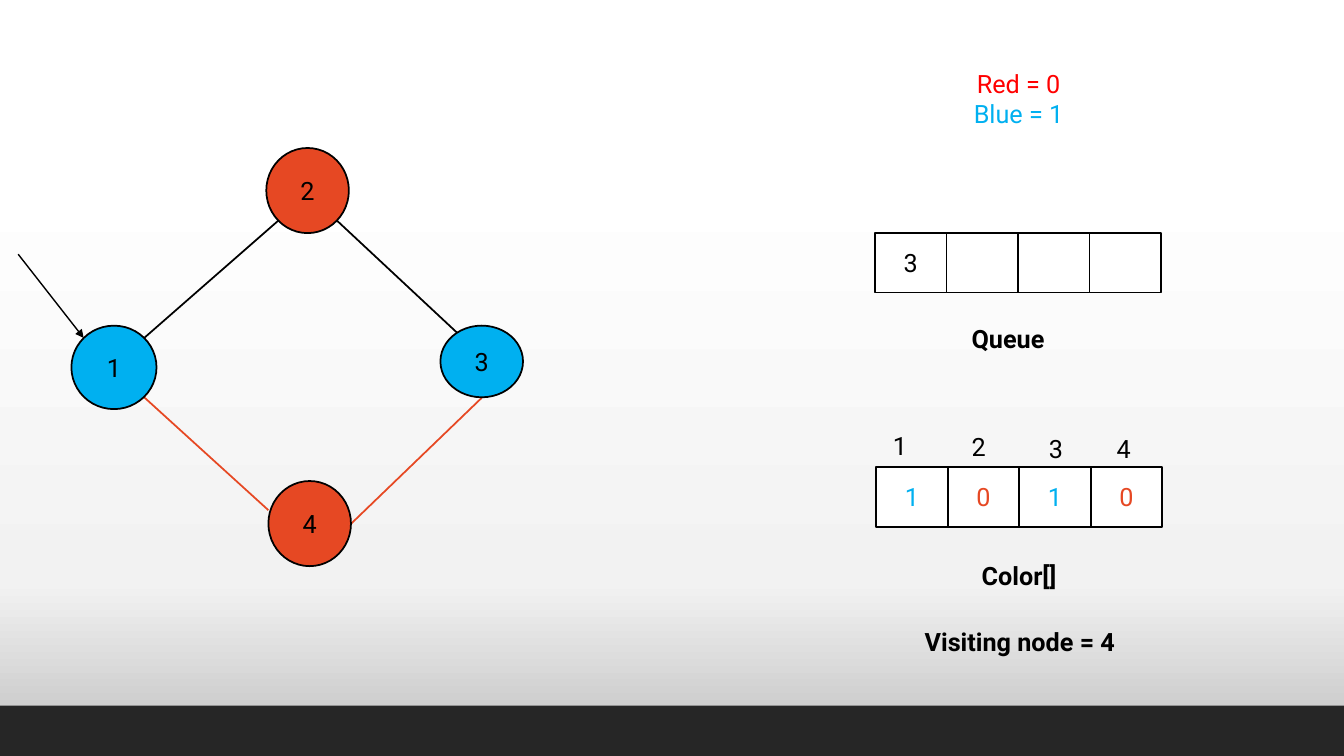
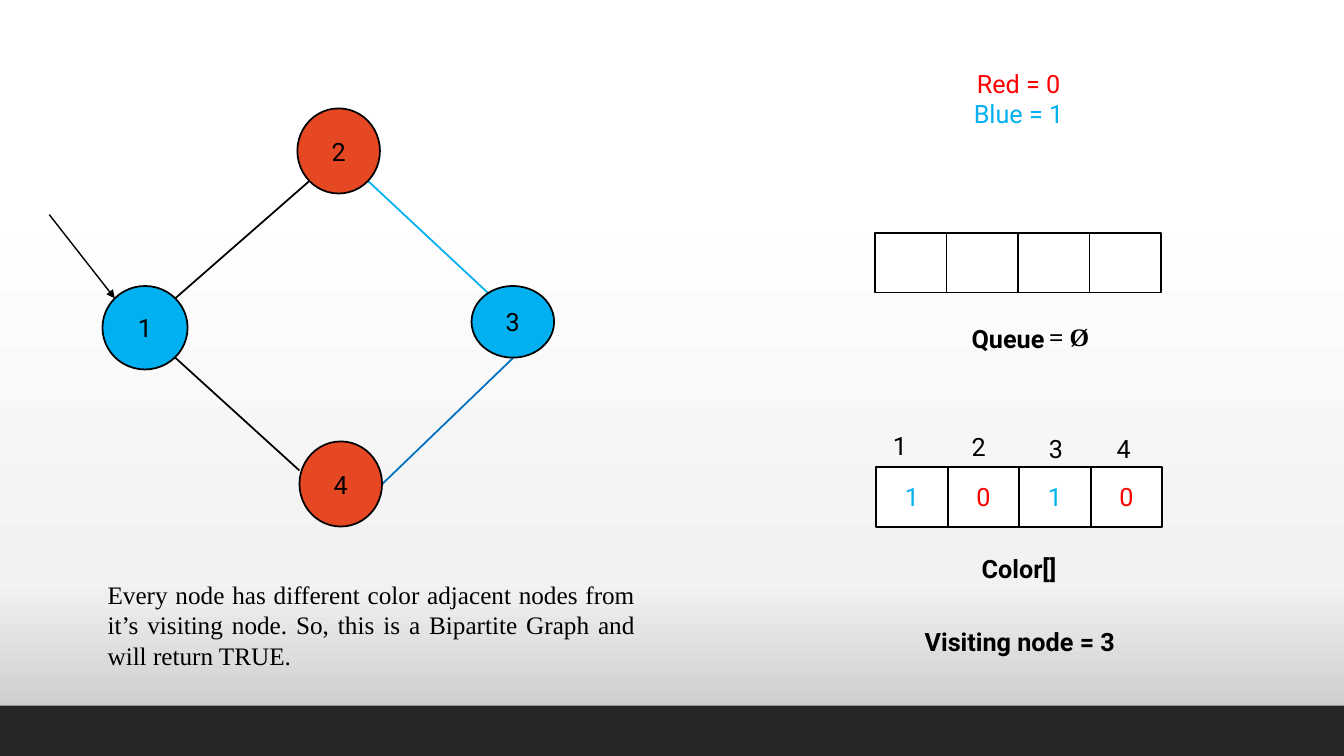
import lxml.etree
import pptx
import pptx.dml.color
import pptx.enum.shapes
import pptx.enum.text
import pptx.oxml
import pptx.oxml.ns
import pptx.util

Pt = pptx.util.Pt
SHAPE = pptx.enum.shapes.MSO_SHAPE
ALIGN = pptx.enum.text.PP_ALIGN
qn = pptx.oxml.ns.qn

COLORS = {
    "black": "000000", "white": "FFFFFF", "band": "262626",
    "blue": "00B0F0", "dark_blue": "0070C0",
    "orange": "E64823", "red": "FF0000",
}
BACKGROUND_STOPS = [(0, "FFFFFF"), (23, "FFFFFF"), (77, "F2F2F2"), (100, "BFBFBF")]
WIDTH, HEIGHT, BAND_TOP = 960, 540, 504

BODY = {"name": "Roboto", "size": Pt(18), "bold": False}
LABEL = {**BODY, "bold": True}
SERIF = {**BODY, "name": "Times New Roman"}
SERIF_BOLD = {**SERIF, "bold": True}

# label: (left, top, width, height, color)
NODES = {
    "1": (51, 232.6, 60.8, 59.6, "blue"),
    "2": (190.2, 105.7, 59, 60.8, "orange"),
    "3": (314.6, 232.6, 59, 51.2, "blue"),
    "4": (191.7, 343.6, 59, 60.8, "orange"),
}
# name: (x1, y1, x2, y2)
EDGES = {
    "1-2": (103, 241.4, 198.8, 157.6),
    "1-4": (103, 283.8, 191.7, 364.4),
    "2-3": (240.7, 157.6, 330.5, 241.4),
    "3-4": (250.7, 374.2, 344.1, 284.2),
}
START_ARROW = (13, 181.6, 59.8, 241.4)
CELL_W, CELL_H = 51.1, 42.6
INDEX_POSITIONS = [(630.7, 303.6), (686.9, 304.4), (742.1, 306), (790.6, 306)]


def rgb(color):
    return pptx.dml.color.RGBColor.from_string(COLORS[color])


def write(tf, lines, style, align=None):
    """Fill a text frame with one paragraph per (text, color) pair."""
    for i, (text, color) in enumerate(lines):
        p = tf.paragraphs[0] if i == 0 else tf.add_paragraph()
        p.alignment = align
        r = p.add_run()
        r.text = text
        for key, value in style.items():
            setattr(r.font, key, value)
        r.font.color.rgb = rgb(color)


def add_box(slide, kind, box, fill, text="", color="black", line="black"):
    sp = slide.shapes.add_shape(kind, *map(Pt, box))
    sp.shadow.inherit = False
    sp.fill.solid()
    sp.fill.fore_color.rgb = rgb(fill)
    if line:
        sp.line.color.rgb = rgb(line)
        sp.line.width = Pt(1.25)
    else:
        sp.line.fill.background()
    if text:
        write(sp.text_frame, [(text, color)], BODY, ALIGN.CENTER)
    return sp


def add_text(slide, box, lines, style=BODY, align=None):
    tf = slide.shapes.add_textbox(*map(Pt, box)).text_frame
    tf.word_wrap = True
    tf.auto_size = pptx.enum.text.MSO_AUTO_SIZE.SHAPE_TO_FIT_TEXT
    write(tf, lines, style, align)


def add_line(slide, ends, color="black", width=1.25, arrow=False):
    line = slide.shapes.add_connector(
        pptx.enum.shapes.MSO_CONNECTOR.STRAIGHT, *map(Pt, ends))
    line.line.color.rgb = rgb(color)
    line.line.width = Pt(width)
    if arrow:
        ln = line.line._get_or_add_ln()
        lxml.etree.SubElement(ln, qn("a:tailEnd"), type="triangle")
    lxml.etree.SubElement(line._element.spPr, qn("a:effectLst"))


def add_cells(slide, left, top, values):
    """Draw a row of touching cells from (text, color) pairs."""
    for i, (text, color) in enumerate(values):
        box = (left + i * CELL_W, top, CELL_W, CELL_H)
        add_box(slide, SHAPE.RECTANGLE, box, "white", text, color)


def add_graph(slide, dx, dy, edge_colors):
    """Draw the graph moved by (dx, dy); edges not named are black."""
    def moved(x1, y1, x2, y2):
        return x1 + dx, y1 + dy, x2 + dx, y2 + dy

    for name, ends in EDGES.items():
        add_line(slide, moved(*ends), edge_colors.get(name, "black"))
    add_line(slide, moved(*START_ARROW), width=1, arrow=True)
    for label, (x, y, w, h, fill) in NODES.items():
        add_box(slide, SHAPE.OVAL, (x + dx, y + dy, w, h), fill, label)


def add_state(slide, queue, zero_color, color_label_top, visiting):
    """Draw the legend, the queue, the color array and the visited node."""
    add_text(slide, (608.4, 45.4, 238.3, 51),
             [("Red = 0", "red"), ("Blue = 1", "blue")], align=ALIGN.CENTER)
    add_cells(slide, 625, 166.4, [(text, "black") for text in queue])
    add_cells(slide, 625.8, 333.6, [("1", "blue"), ("0", zero_color)] * 2)
    for i, (left, top) in enumerate(INDEX_POSITIONS, 1):
        add_text(slide, (left, top, 45.4, 29), [(str(i), "black")])
    labels = [
        ("Queue", 686.9, 227.5, 142.6),
        ("Color[]", 694.1, color_label_top, 128.2),
        (f"Visiting node = {visiting}", 653.4, 443.5, 163.4),
    ]
    for text, left, top, width in labels:
        add_text(slide, (left, top, width, 29), [(text, "black")], LABEL)


def style_master(prs, slide):
    """Give the master the gradient background and the bottom band."""
    master = prs.slide_master
    fill = master.background.fill
    fill.gradient()
    fill.gradient_angle = 270
    stops = master._element.find(".//" + qn("a:gsLst"))
    for stop in list(stops):
        stops.remove(stop)
    for percent, color in BACKGROUND_STOPS:
        stop = lxml.etree.SubElement(stops, qn("a:gs"), pos=str(percent * 1000))
        lxml.etree.SubElement(stop, qn("a:srgbClr"), val=color)

    box = (0, BAND_TOP, WIDTH, HEIGHT - BAND_TOP)
    band = add_box(slide, SHAPE.RECTANGLE, box, "band", line=None)
    band._element.nvSpPr.cNvPr.set("id", "20")
    master.shapes._spTree.insert(2, band._element)


def main():
    prs = pptx.Presentation()
    prs.slide_width, prs.slide_height = Pt(WIDTH), Pt(HEIGHT)
    blank = prs.slide_layouts[6]

    s = prs.slides.add_slide(blank)
    style_master(prs, s)
    add_graph(s, 0, 0, {"1-4": "orange", "3-4": "orange"})
    add_state(s, ["3", "", "", ""], "orange", 396.7, 4)

    s = prs.slides.add_slide(blank)
    add_graph(s, 22.2, -28.3, {"2-3": "blue", "3-4": "dark_blue"})
    add_state(s, [""] * 4, "red", 391.7, 3)
    add_text(s, (742.3, 226.1, 67, 29), [("= Ø", "black")], SERIF_BOLD)
    conclusion = ("Every node has different color adjacent nodes from it’s visiting "
                  "node. So, this is a Bipartite Graph and will return TRUE.")
    add_text(s, (69.8, 410.4, 391, 72.7), [(conclusion, "black")], SERIF,
             ALIGN.JUSTIFY)

    prs.save("out.pptx")


if __name__ == "__main__":
    main()
